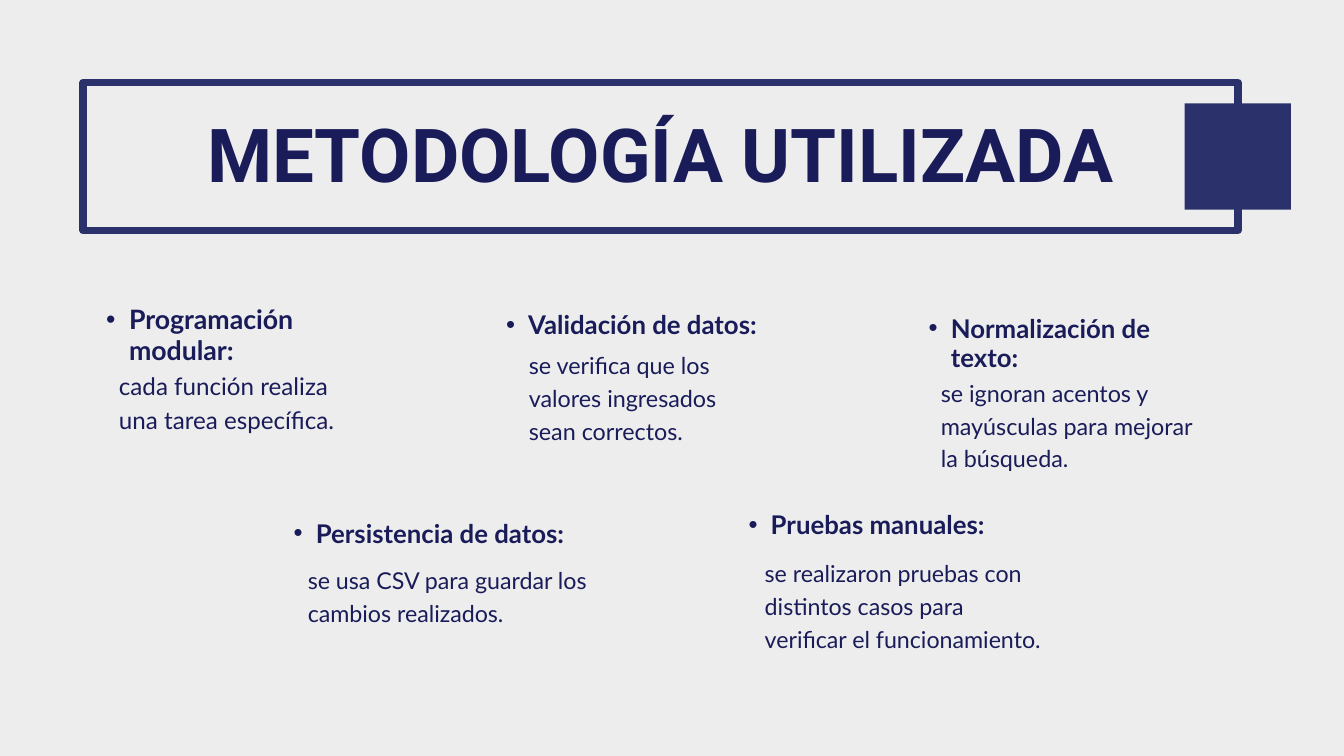
from lxml import etree
from pptx import Presentation
from pptx.dml.color import RGBColor
from pptx.enum.shapes import MSO_SHAPE as Shape
from pptx.enum.text import MSO_ANCHOR as Anchor, MSO_AUTO_SIZE as AutoSize, PP_ALIGN as Align
from pptx.oxml.ns import qn
from pptx.util import Inches, Pt

NAVY, INK, PAPER = "2B326B", "191C59", "EDEDED"


def color(value):
    return RGBColor.from_string(value)


def write(box, text, size, spacing, font="Lato", bold=False, align=Align.LEFT, indent=None):
    """Fill a box with one paragraph; indent is (left margin, hang) of a bullet."""
    frame = box.text_frame
    frame.word_wrap = True
    frame.auto_size = AutoSize.NONE
    frame.vertical_anchor = Anchor.TOP
    frame.margin_left = frame.margin_right = frame.margin_top = frame.margin_bottom = 0
    para = frame.paragraphs[0]
    para.alignment = align
    para.line_spacing = Pt(spacing)
    if indent:
        left, hang = indent
        props = para._p.get_or_add_pPr()
        props.set("marL", str(Inches(left)))
        props.set("indent", str(-Inches(hang)))
        etree.SubElement(props, qn("a:buFont")).set("typeface", "Arial")
        etree.SubElement(props, qn("a:buChar")).set("char", "•")
    span = para.add_run()
    span.text = text
    span.font.name = font
    span.font.size = Pt(size)
    span.font.bold = bold
    span.font.color.rgb = color(INK)


deck = Presentation()
deck.slide_width, deck.slide_height = Inches(20), Inches(11.25)
page = deck.slides.add_slide(deck.slide_layouts[5])
page.background.fill.solid()
page.background.fill.fore_color.rgb = color(PAPER)

# Title in its frame, with the square over the right edge
title = page.shapes.title
title.left, title.top, title.width, title.height = map(Inches, (1.24, 1.58, 17.18, 1.34))
write(title, "METODOLOGÍA UTILIZADA", 79.7, 98, font="Roboto", bold=True, align=Align.CENTER)

border = page.shapes.add_shape(Shape.RECTANGLE, *map(Inches, (1.24, 1.23, 17.18, 2.2)))
border.shadow.inherit = False
border.fill.background()
border.line.color.rgb = color(NAVY)
border.line.width = Pt(8.25)

square = page.shapes.add_shape(Shape.RECTANGLE, *map(Inches, (17.63, 1.54, 1.58, 1.58)))
square.shadow.inherit = False
square.fill.solid()
square.fill.fore_color.rgb = color(NAVY)
square.line.fill.background()

# Each method: heading, its box and size, then description, its box and size
methods = [
    ("Programación modular:", (1.24, 4.53, 3.86, 0.92), 28.6,
     "cada función realiza una tarea específica.", (1.77, 5.46, 3.57, 0.99), 25.9),
    ("Validación de datos:", (7.2, 4.62, 4.48, 0.46), 27.6,
     "se verifica que los valores ingresados sean correctos.", (7.87, 5.16, 3.51, 1.42), 25),
    ("Normalización de texto:", (13.49, 4.67, 4.28, 0.89), 27.6,
     "se ignoran acentos y mayúsculas para mejorar la búsqueda.", (14, 5.57, 3.77, 1.42), 25),
    ("Persistencia de datos:", (4.04, 7.72, 4.73, 0.46), 27.6,
     "se usa CSV para guardar los cambios realizados.", (4.58, 8.36, 4.19, 0.94), 24.9),
    ("Pruebas manuales:", (10.81, 7.59, 4.13, 0.46), 27.6,
     "se realizaron pruebas con distintos casos para verificar el funcionamiento.",
     (11.38, 8.26, 4.21, 1.42), 24.9),
]
for heading, heading_area, heading_size, detail, detail_area, detail_size in methods:
    hang = round(heading_size * 0.012, 2)
    box = page.shapes.add_textbox(*map(Inches, heading_area))
    write(box, heading, heading_size, round(heading_size * 1.15, 1), bold=True,
          indent=(2 * hang, hang))
    box = page.shapes.add_textbox(*map(Inches, detail_area))
    write(box, detail, detail_size, round(detail_size * 1.4, 1))

deck.save("out.pptx")
